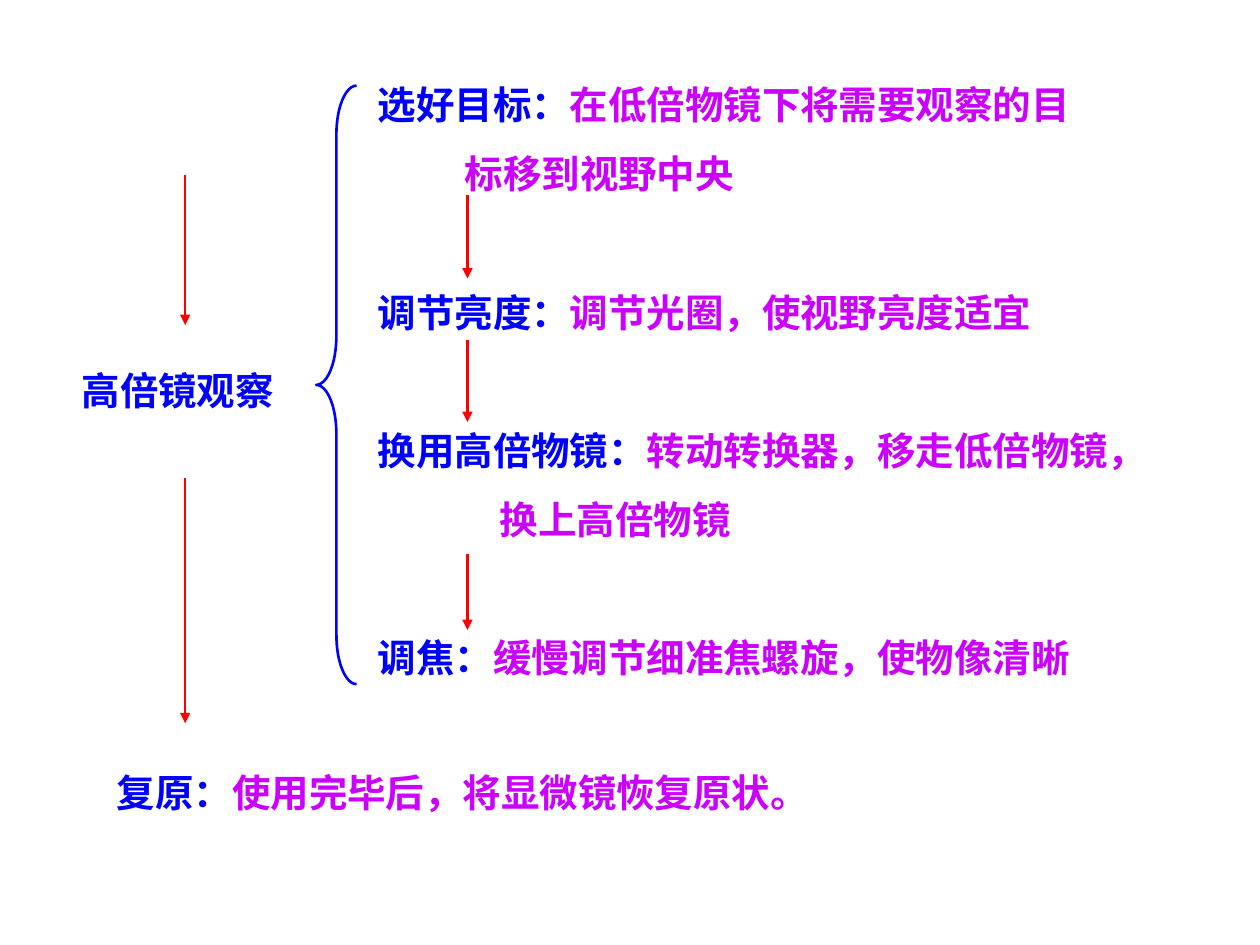
from lxml import etree
from pptx import Presentation
from pptx import util as u
from pptx.dml.color import RGBColor
from pptx.enum import shapes, text
from pptx.oxml.ns import qn

COLORS = {"label": "0000FF", "detail": "CC00FF", "arrow": "FF0000"}


class Diagram:
    font = "Noto Sans CJK SC"
    size = u.Pt(22)
    line_width = u.Pt(1.5)
    line_spacing = 1.5
    step_gap = u.Pt(39.5)

    def __init__(self, slide):
        self.slide = slide

    def color(self, name):
        return RGBColor.from_string(COLORS[name])

    def add_run(self, paragraph, words, color):
        run = paragraph.add_run()
        run.text = words
        run.font.size, run.font.bold = self.size, True
        run.font.color.rgb = self.color(color)
        run.font.name = self.font
        etree.SubElement(run._r.rPr, qn("a:ea"), typeface=self.font)

    def text_box(self, left, top, width, height, steps):
        """Each step is (label, detail, continuation, continuation indent in inches)."""
        box = self.slide.shapes.add_textbox(
            u.Inches(left), u.Inches(top), u.Inches(width), u.Inches(height))
        frame = box.text_frame
        frame.word_wrap = True
        frame.auto_size = text.MSO_AUTO_SIZE.SHAPE_TO_FIT_TEXT
        for index, (label, detail, continuation, indent) in enumerate(steps):
            paragraph = frame.add_paragraph() if index else frame.paragraphs[0]
            paragraph.line_spacing = self.line_spacing
            if index:
                paragraph.space_before = self.step_gap
            self.add_run(paragraph, label, "label")
            if detail:
                self.add_run(paragraph, detail, "detail")
            if continuation:
                paragraph = frame.add_paragraph()
                paragraph.line_spacing = self.line_spacing
                paragraph._p.get_or_add_pPr().set("marL", str(u.Inches(indent)))
                self.add_run(paragraph, continuation, "detail")

    def down_arrow(self, x, top, bottom):
        arrow = self.slide.shapes.add_connector(
            shapes.MSO_CONNECTOR.STRAIGHT,
            u.Inches(x), u.Inches(top), u.Inches(x), u.Inches(bottom))
        arrow.line.color.rgb = self.color("arrow")
        arrow.line.width = self.line_width
        etree.SubElement(arrow.line._get_or_add_ln(), qn("a:tailEnd"), type="triangle")
        etree.SubElement(arrow._element.spPr, qn("a:effectLst"))

    def brace(self, left, top, width, height, curve):
        shape = self.slide.shapes.add_shape(
            shapes.MSO_SHAPE.LEFT_BRACE,
            u.Inches(left), u.Inches(top), u.Inches(width), u.Inches(height))
        shape.adjustments[0] = curve / width
        shape.shadow.inherit = False
        shape.fill.background()
        shape.line.color.rgb = self.color("label")
        shape.line.width = self.line_width


def main():
    presentation = Presentation()
    presentation.slide_width, presentation.slide_height = u.Inches(10), u.Inches(7.5)
    diagram = Diagram(presentation.slides.add_slide(presentation.slide_layouts[6]))

    diagram.text_box(0.55, 2.68, 2.44, 0.65, [("高倍镜观察", "", "", 0)])
    diagram.text_box(2.9, 0.41, 6.7, 5.05, [
        ("选好目标：", "在低倍物镜下将需要观察的目", "标移到视野中央", 0.69),
        ("调节亮度：", "调节光圈，使视野亮度适宜", "", 0),
        ("换用高倍物镜：", "转动转换器，移走低倍物镜，", "换上高倍物镜", 0.97),
        ("调焦：", "缓慢调节细准焦螺旋，使物像清晰", "", 0),
    ])
    diagram.text_box(0.83, 5.87, 6.25, 0.65,
                     [("复原：", "使用完毕后，将显微镜恢复原状。", "", 0)])
    diagram.brace(2.51, 0.68, 0.32, 4.75, curve=0.39)

    stage_x, step_x = 1.47, 3.71
    for x, top, bottom in [
        (stage_x, 1.39, 2.58), (stage_x, 3.79, 5.74),
        (step_x, 1.55, 2.21), (step_x, 2.7, 3.35), (step_x, 4.4, 5),
    ]:
        diagram.down_arrow(x, top, bottom)

    presentation.save("out.pptx")


if __name__ == "__main__":
    main()
